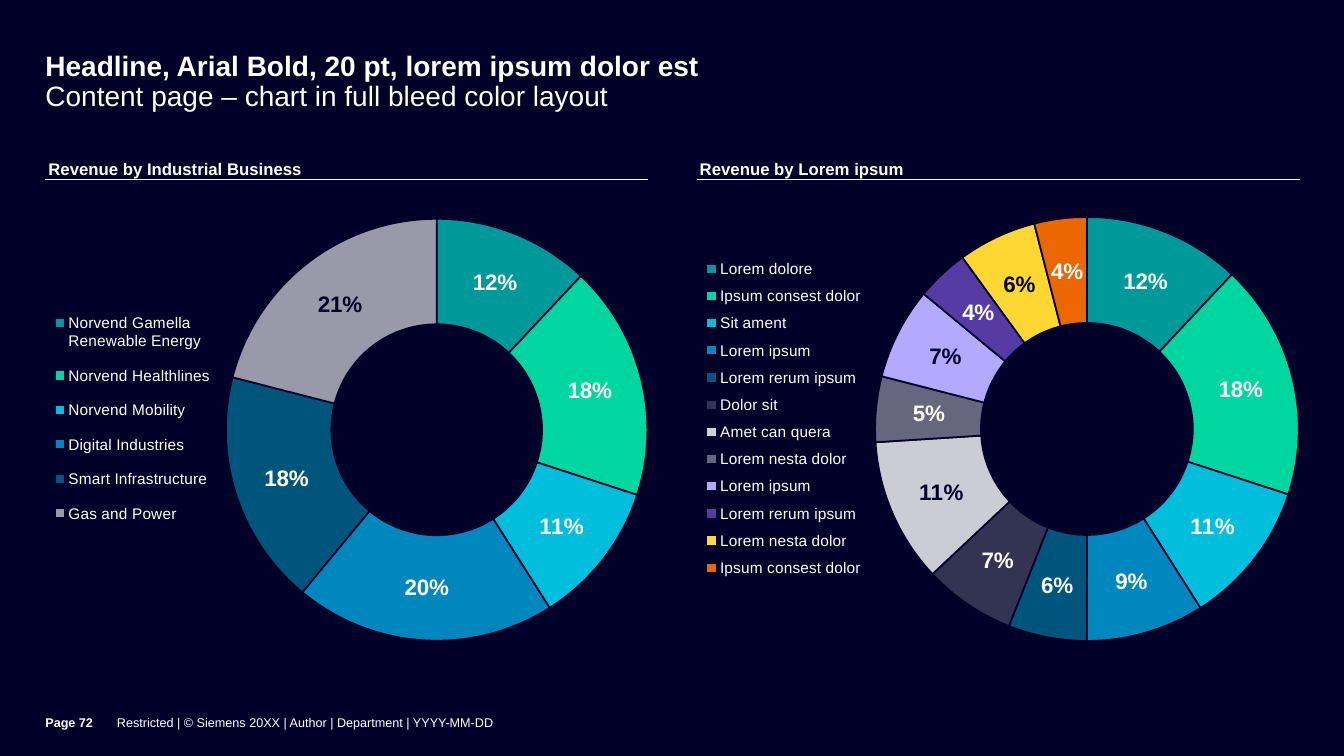
from lxml.etree import SubElement
from pptx import Presentation
from pptx.chart.data import CategoryChartData
from pptx.dml.color import RGBColor
from pptx.enum.chart import XL_CHART_TYPE, XL_LEGEND_POSITION
from pptx.enum.shapes import MSO_CONNECTOR
from pptx.enum.text import MSO_ANCHOR, MSO_AUTO_SIZE, PP_ALIGN
from pptx.oxml.ns import qn
from pptx.util import Inches, Pt

NAVY, WHITE = "000028", "FFFFFF"
MARGIN, COLUMN_WIDTH, COLUMN_STEP = 0.45, 5.98, 6.46
CHART_TOP, CHART_HEIGHT, RULE_OFFSET = 1.55, 5.2, 0.23
FOOTER_TOP, FOOTER_HEIGHT, PAGE_NUMBER_WIDTH = 6.9, 0.6, 0.71

SHARED_SLICES = ["009999", "00D7A0", "00BEDC", "0087BE", "00557C"]
DOUGHNUTS = [
    {
        "title": "Revenue by Industrial Business",
        "slices": [("Norvend Gamella Renewable Energy", 0.12),
                   ("Norvend Healthlines", 0.18), ("Norvend Mobility", 0.11),
                   ("Digital Industries", 0.2), ("Smart Infrastructure", 0.18),
                   ("Gas and Power", 0.21)],
        "colors": SHARED_SLICES + ["9999A9"],
        "dark_labels": [5],
        "ring": (0.3, 0.119, 0.7, 0.806),
        "legend": (0, 0.27, 0.29, 0.46),
    },
    {
        "title": "Revenue by Lorem ipsum",
        "slices": [("Lorem dolore", 0.12), ("Ipsum consest dolor", 0.18),
                   ("Sit ament", 0.11), ("Lorem ipsum", 0.09),
                   ("Lorem rerum ipsum", 0.06), ("Dolor sit", 0.07),
                   ("Amet can quera", 0.11), ("Lorem nesta dolor", 0.05),
                   ("Lorem ipsum", 0.07), ("Lorem rerum ipsum", 0.04),
                   ("Lorem nesta dolor", 0.06), ("Ipsum consest dolor", 0.04)],
        "colors": SHARED_SLICES + ["333353", "CCCCD4", "66667E", "B4A8FF",
                                   "553BA3", "FFD732", "EC6602"],
        "dark_labels": [6, 8, 10],
        "ring": (0.296, 0.116, 0.704, 0.809),
        "legend": (0, 0.18, 0.29, 0.64),
    },
]


def paint(target, color):
    """Fill a shape, slice or background with a hex colour."""
    target.fill.solid()
    target.fill.fore_color.rgb = RGBColor.from_string(color)


def style_font(font, size, bold=False, color=WHITE):
    font.name, font.size, font.bold = "Arial", Pt(size), bold
    font.color.rgb = RGBColor.from_string(color)


def add_run(para, text, size, bold=False):
    span = para.add_run()
    span.text = text
    style_font(span.font, size, bold)


def set_frame(frame, anchor, right=0, bottom=0):
    frame.word_wrap = True
    frame.auto_size = MSO_AUTO_SIZE.NONE
    frame.vertical_anchor = anchor
    frame.margin_left = frame.margin_top = 0
    frame.margin_right, frame.margin_bottom = Inches(right), Inches(bottom)


def set_layout(parent, index, **settings):
    """Give a chart part a manual layout in shares of the chart's size."""
    for old in parent.findall(qn("c:layout")):
        parent.remove(old)
    layout = SubElement(parent, qn("c:layout"))
    manual = SubElement(layout, qn("c:manualLayout"))
    for name, value in settings.items():
        SubElement(manual, qn(f"c:{name}")).set("val", str(value))
    parent.insert(index, layout)


def edge_box(box, **target):
    left, top, width, height = box
    return dict(target, xMode="edge", yMode="edge", x=left, y=top, w=width, h=height)


def add_headline(page, left, top, width, height):
    title = page.shapes.title
    title.left, title.top = Inches(left), Inches(top)
    title.width, title.height = Inches(width), Inches(height)
    set_frame(title.text_frame, MSO_ANCHOR.TOP, right=0.35, bottom=0.02)
    para = title.text_frame.paragraphs[0]
    para.alignment, para.line_spacing = PP_ALIGN.LEFT, 0.9
    add_run(para, "Headline, Arial Bold, 20 pt, lorem ipsum dolor est", 20, True)
    para.add_line_break()
    add_run(para, "Content page – chart in full bleed color layout", 20)


def add_doughnut(page, content, left, top, width, height):
    data = CategoryChartData(number_format="0%")
    data.categories = [name for name, _ in content["slices"]]
    data.add_series("Series 1", [value for _, value in content["slices"]])
    chart = page.shapes.add_chart(
        XL_CHART_TYPE.DOUGHNUT, Inches(left), Inches(top),
        Inches(width), Inches(height), data).chart
    style_font(chart.font, 10)

    # Title at the top left
    chart.has_title = True
    add_run(chart.chart_title.text_frame.paragraphs[0], content["title"], 12, True)
    set_layout(chart.element.xpath(".//c:chart/c:title")[0], 1,
               xMode="edge", yMode="edge", x=0, y=0)

    # Legend left of the ring
    chart.has_legend = True
    chart.legend.position = XL_LEGEND_POSITION.LEFT
    chart.legend.include_in_layout = False
    style_font(chart.legend.font, 11)
    set_layout(chart.element.xpath(".//c:legend")[0], 1, **edge_box(content["legend"]))

    # Ring, slices and labels
    set_layout(chart.element.xpath(".//c:plotArea")[0], 0,
               **edge_box(content["ring"], layoutTarget="inner"))
    chart.element.xpath(".//c:holeSize")[0].set("val", "70")
    plot = chart.plots[0]
    plot.vary_by_categories = True
    series = plot.series[0]
    labels = series.data_labels
    labels.show_value = True
    labels.number_format, labels.number_format_is_linked = "0%", False
    style_font(labels.font, 16, True)
    for index, color in enumerate(content["colors"]):
        point = series.points[index]
        paint(point.format, color)
        point.format.line.color.rgb = RGBColor.from_string(NAVY)
        point.format.line.width = Pt(1.25)
        if index in content["dark_labels"]:
            style_font(point.data_label.font, 16, True, NAVY)


def add_rule(page, left, top, width):
    rule = page.shapes.add_connector(
        MSO_CONNECTOR.STRAIGHT, Inches(left), Inches(top),
        Inches(left + width), Inches(top))
    rule.line.color.rgb = RGBColor.from_string(WHITE)
    rule.line.width = Pt(1)
    SubElement(rule.element.spPr, qn("a:effectLst"))


def add_footer_text(page, text, left, width, bold=False):
    box = page.shapes.add_textbox(Inches(left), Inches(FOOTER_TOP),
                                  Inches(width), Inches(FOOTER_HEIGHT))
    set_frame(box.text_frame, MSO_ANCHOR.MIDDLE, bottom=0.07)
    add_run(box.text_frame.paragraphs[0], text, 9, bold)


def main():
    deck = Presentation()
    deck.slide_width, deck.slide_height = Inches(13.33), Inches(7.5)
    page = deck.slides.add_slide(deck.slide_layouts[5])
    paint(page.background, NAVY)
    add_headline(page, MARGIN, 0.52, 10.79, 0.63)

    # Two chart columns
    for column, content in enumerate(DOUGHNUTS):
        left = MARGIN + column * COLUMN_STEP
        add_doughnut(page, content, left, CHART_TOP, COLUMN_WIDTH, CHART_HEIGHT)
        add_rule(page, left, CHART_TOP + RULE_OFFSET, COLUMN_WIDTH)

    # Footer
    add_footer_text(page, "Restricted | © Siemens 20XX | Author | Department | YYYY-MM-DD",
                    MARGIN + PAGE_NUMBER_WIDTH, 10.08)
    add_footer_text(page, "Page 72", MARGIN, PAGE_NUMBER_WIDTH, True)
    deck.save("out.pptx")


if __name__ == "__main__":
    main()
